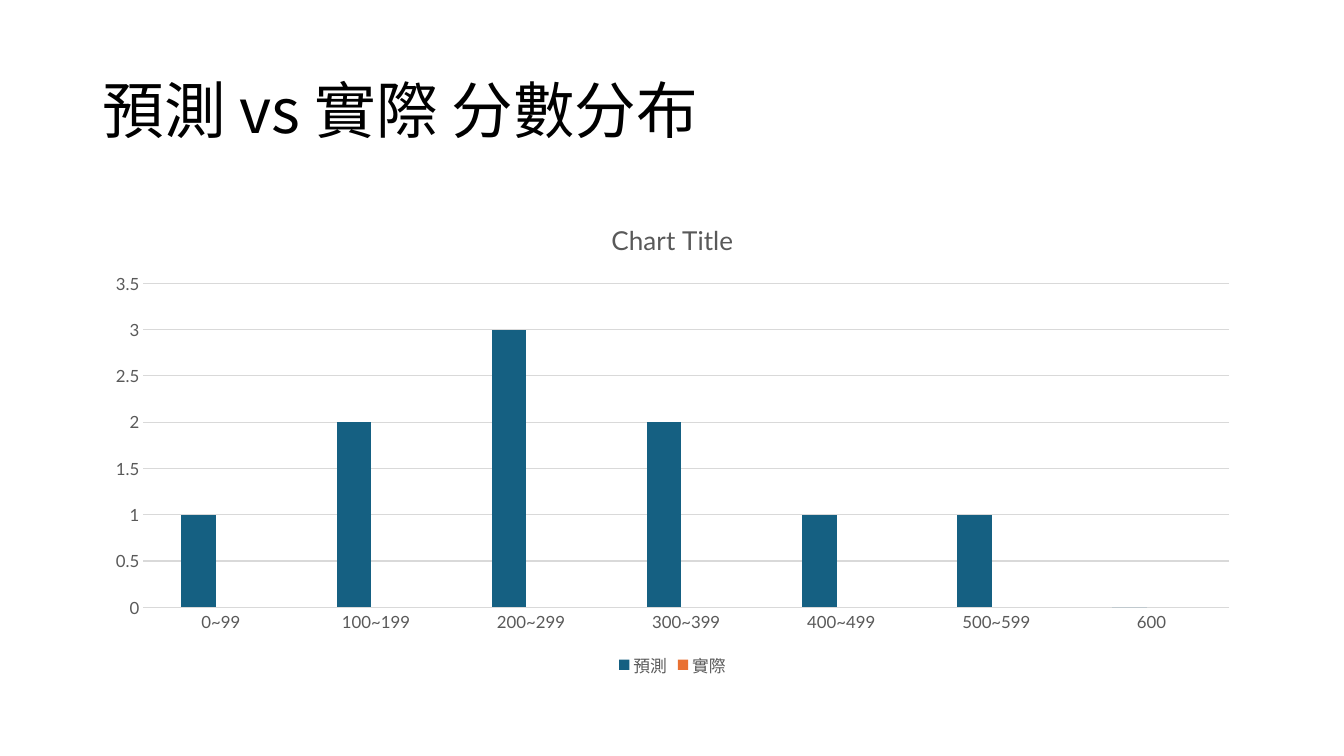
from lxml import etree
from pptx import Presentation
from pptx.chart.data import CategoryChartData
from pptx.dml.color import RGBColor
from pptx.enum import chart as kinds, text
from pptx.oxml import ns
from pptx.util import Inches, Pt

BLACK = RGBColor(0x00, 0x00, 0x00)
GRAY = RGBColor(0x59, 0x59, 0x59)
LIGHT_GRAY = RGBColor(0xD9, 0xD9, 0xD9)
BLUE = RGBColor(0x15, 0x60, 0x82)
ORANGE = RGBColor(0xE9, 0x71, 0x32)
TITLE_FONT = "Noto Sans CJK SC"
CHART_FONT = "Lato"
LEFT, WIDTH = Inches(0.92), Inches(11.5)

RANGES = [f"{low}~{low + 99}" for low in range(0, 600, 100)] + ["600"]
SCORES = [
    ("預測", [1, 2, 3, 2, 1, 1, 0], BLUE),
    ("實際", [None] * len(RANGES), ORANGE),
]


def style_font(font, name, size, color):
    font.name = name
    font.size = Pt(size)
    font.bold = False
    font.color.rgb = color


def style_line(line):
    line.color.rgb = LIGHT_GRAY
    line.width = Pt(0.75)


def add_title(page, words):
    box = page.shapes.add_textbox(LEFT, Inches(0.4), WIDTH, Inches(1.45))
    frame = box.text_frame
    frame.word_wrap = True
    frame.vertical_anchor = text.MSO_ANCHOR.MIDDLE
    para = frame.paragraphs[0]
    para.line_spacing = 0.9
    span = para.add_run()
    span.text = words
    style_font(span.font, TITLE_FONT, 44, BLACK)
    east_asian = etree.SubElement(span.font._element, ns.qn("a:ea"))
    east_asian.set("typeface", TITLE_FONT)


def style_axis(axis):
    axis.major_tick_mark = kinds.XL_TICK_MARK.NONE
    axis.minor_tick_mark = kinds.XL_TICK_MARK.NONE
    style_font(axis.tick_labels.font, CHART_FONT, 12, GRAY)


def add_score_chart(page):
    data = CategoryChartData()
    data.categories = RANGES
    for name, counts, _ in SCORES:
        data.add_series(name, counts)
    chart = page.shapes.add_chart(
        kinds.XL_CHART_TYPE.COLUMN_CLUSTERED,
        LEFT, Inches(2), WIDTH, Inches(4.76), data,
    ).chart
    style_font(chart.font, CHART_FONT, 10, BLACK)

    chart.has_title = True
    heading = chart.chart_title.text_frame
    heading.text = "Chart Title"
    style_font(heading.paragraphs[0].font, CHART_FONT, 18.6, GRAY)
    chart.chart_title.include_in_layout = False

    chart.has_legend = True
    chart.legend.position = kinds.XL_LEGEND_POSITION.BOTTOM
    chart.legend.include_in_layout = False
    style_font(chart.legend.font, CHART_FONT, 12, GRAY)

    style_axis(chart.category_axis)
    style_line(chart.category_axis.format.line)
    counts_axis = chart.value_axis
    style_axis(counts_axis)
    counts_axis.format.line.fill.background()
    counts_axis.minimum_scale = 0
    counts_axis.maximum_scale = 3.5
    counts_axis.major_unit = 0.5
    style_line(counts_axis.major_gridlines.format.line)

    plot = chart.plots[0]
    plot.vary_by_categories = False
    plot.gap_width = 219
    plot.overlap = -27
    for series, (_, _, color) in zip(plot.series, SCORES):
        series.format.fill.solid()
        series.format.fill.fore_color.rgb = color


def main():
    deck = Presentation()
    deck.slide_width = Inches(13.33)
    deck.slide_height = Inches(7.5)
    page = deck.slides.add_slide(deck.slide_layouts[6])
    add_title(page, "預測 vs 實際 分數分布")
    add_score_chart(page)
    deck.save("out.pptx")


if __name__ == "__main__":
    main()
